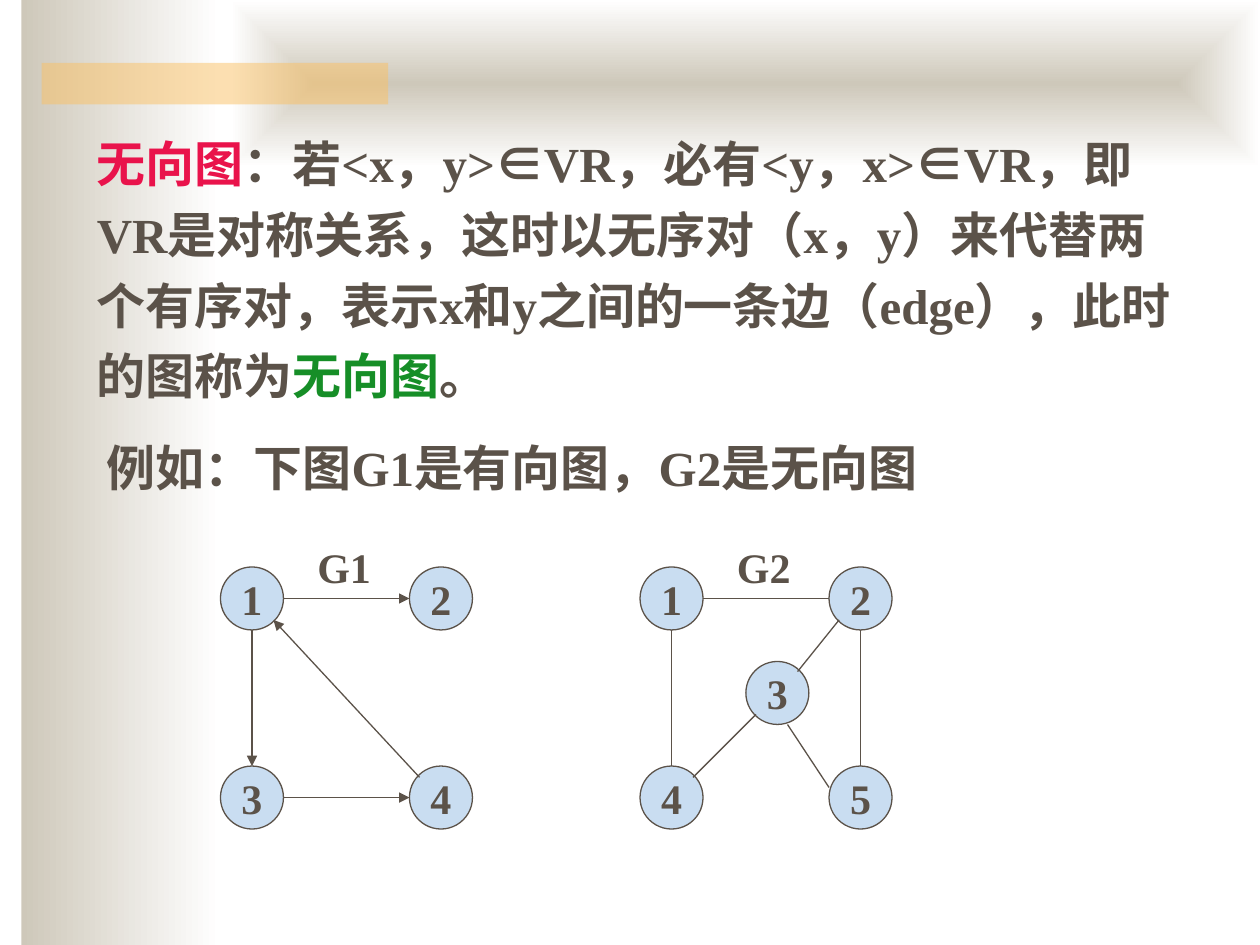
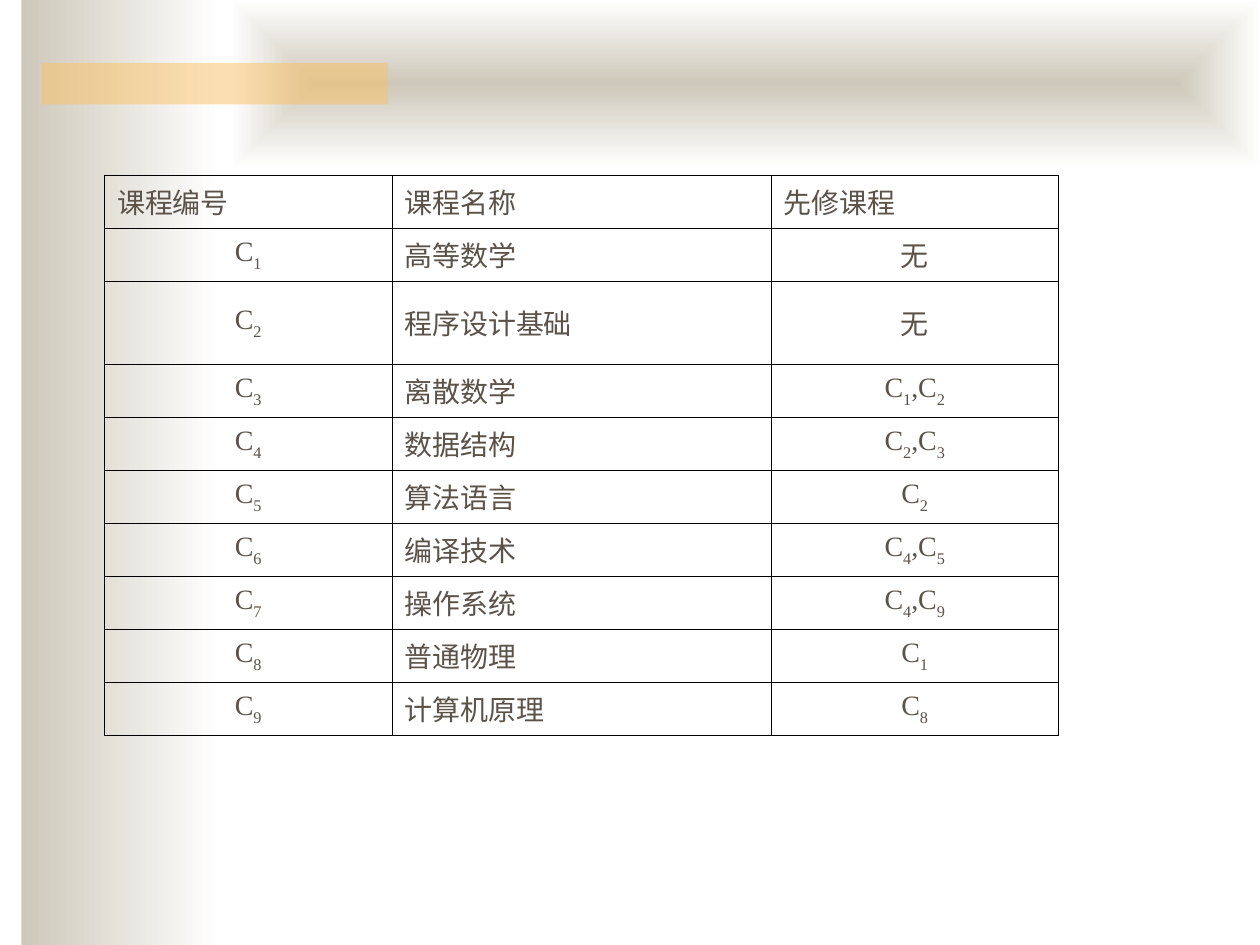
"""Builds two slides on directed and undirected graphs and a course table."""
from itertools import groupby

from lxml import etree
from pptx import Presentation
from pptx.dml.color import RGBColor
from pptx.enum.dml import MSO_THEME_COLOR
from pptx.enum.shapes import MSO_CONNECTOR, MSO_SHAPE
from pptx.enum.text import MSO_ANCHOR, MSO_AUTO_SIZE, PP_ALIGN
from pptx.oxml.ns import qn
from pptx.util import Inches, Pt

RECT, OVAL = MSO_SHAPE.RECTANGLE, MSO_SHAPE.OVAL
LINE = MSO_CONNECTOR.STRAIGHT
MID, TOP = MSO_ANCHOR.MIDDLE, MSO_ANCHOR.TOP
LEFT, CENTER = PP_ALIGN.LEFT, PP_ALIGN.CENTER
GROW = MSO_AUTO_SIZE.SHAPE_TO_FIT_TEXT

INK, SAND, WHITE, GOLD = "5B5249", "CEC8BA", "FFFFFF", "FAC164"
RED, GREEN, BLUE, BLACK = "E9134B", "168E27", "C9DDF1", "000000"
LATIN, HAN = "Times New Roman", "Noto Sans CJK SC"

BODY = {"size": Pt(28), "bold": True}
LABEL = {"size": Pt(24), "bold": True}
CELL = {"size": Pt(16), "bold": False}

RULE = [
    ("无向图", RED),
    ("：若<x，y>∈VR，必有<y，x>∈VR，即VR是对称关系，这时以无序对（x，y）"
     "来代替两个有序对，表示x和y之间的一条边（edge），此时的图称为", INK),
    ("无向图", GREEN),
    ("。", INK),
]
CASE = [("例如：下图G1是有向图，G2是无向图", INK)]

FAR, LOW, SIZE, GRAPH_TOP = 1.5, 1.58, 0.5, 4.5
HALF = SIZE / 2
ACROSS = (SIZE, HALF, FAR, HALF)
DOWN = (HALF, SIZE, HALF, LOW)
GRAPHS = [
    {"name": "G1", "left": 1.75, "arrow": True,
     "nodes": {"1": (0, 0), "2": (FAR, 0), "3": (0, LOW), "4": (FAR, LOW)},
     "edges": [ACROSS, DOWN, (SIZE, LOW + HALF, FAR, LOW + HALF),
               (1.58, 1.67, 0.42, 0.42)]},
    {"name": "G2", "left": 5.08, "arrow": False,
     "nodes": {"1": (0, 0), "2": (FAR, 0), "3": (0.84, 0.75),
               "4": (0, LOW), "5": (FAR, LOW)},
     "edges": [ACROSS, DOWN, (FAR + HALF, SIZE, FAR + HALF, LOW),
               (1.17, 1.25, 1.5, 1.75), (0.92, 1.17, 0.42, 1.67),
               (1.58, 0.42, 1.25, 0.83)]},
]

HEADS = ("课程编号", "课程名称", "先修课程")
COURSES = [
    ("C1", "高等数学", "无"),
    ("C2", "程序设计基础", "无"),
    ("C3", "离散数学", "C1,C2"),
    ("C4", "数据结构", "C2,C3"),
    ("C5", "算法语言", "C2"),
    ("C6", "编译技术", "C4,C5"),
    ("C7", "操作系统", "C4,C9"),
    ("C8", "普通物理", "C1"),
    ("C9", "计算机原理", "C8"),
]
WIDTHS = (2.28, 3.01, 2.28)
HEIGHTS = [0.41, 0.42, 0.66] + [0.42] * 7


def tint(code):
    return RGBColor.from_string(code)


def add(parent, tag, **attrs):
    return etree.SubElement(parent, qn(tag), attrs)


def write(par, text, color, form, sub=False):
    for key, part in groupby(text, lambda c: (c.isascii(), sub and c.isdigit())):
        run = par.add_run()
        run.text = "".join(part)
        for name, value in form.items():
            setattr(run.font, name, value)
        run.font.color.rgb = tint(color)
        run.font.name = LATIN if key[0] else HAN
        props = run._r.get_or_add_rPr()
        add(props, "a:ea", typeface=HAN)
        if key[1]:
            props.set("baseline", "-30000")


def shape(shapes, kind, box, fill=None, line=None):
    item = shapes.add_shape(kind, *map(Inches, box))
    item.shadow.inherit = False
    if fill:
        item.fill.solid()
        item.fill.fore_color.rgb = tint(fill)
    if line:
        item.line.color.rgb = tint(line)
        item.line.width = Pt(0.75)
    else:
        item.line.fill.background()
    return item


def fade(item):
    item.fill.gradient()
    item.fill.gradient_angle = 0
    for stop, color in zip(item.fill.gradient_stops, (SAND, WHITE)):
        stop.color.rgb = tint(color)


def backdrop(slide):
    fade(shape(slide.shapes, RECT, (0.17, 0, 1.58, 7.5)))
    band = shape(slide.shapes, RECT, (1.83, 0, 8.17, 1.33))
    fade(band)
    grad = band._element.spPr.find(qn("a:gradFill"))
    grad.remove(grad.find(qn("a:lin")))
    route = add(grad, "a:path", path="rect")
    add(route, "a:fillToRect", **dict.fromkeys("ltrb", "50000"))
    bar = shape(slide.shapes, RECT, (0.33, 0.5, 2.75, 0.33), GOLD)
    add(next(bar._element.spPr.iter(qn("a:srgbClr"))), "a:alpha", val="50000")


def textbox(shapes, box, parts, form, space=None):
    frame = shapes.add_textbox(*map(Inches, box)).text_frame
    frame.word_wrap = True
    frame.auto_size = GROW
    par = frame.paragraphs[0]
    if space:
        par.line_spacing = space
    for text, color in parts:
        write(par, text, color, form)


def edge(shapes, ends, arrow):
    link = shapes.add_connector(LINE, *map(Inches, ends))
    link.line.color.rgb = tint(INK)
    link.line.width = Pt(0.75)
    if arrow:
        add(link.line._get_or_add_ln(), "a:tailEnd", type="triangle")
    add(link._element.spPr, "a:effectLst")


def graph(slide, data):
    shapes = slide.shapes.add_group_shape().shapes
    left = data["left"]
    for name, (x, y) in data["nodes"].items():
        node = shape(shapes, OVAL, (left + x, GRAPH_TOP + y, SIZE, SIZE), BLUE, INK)
        frame = node.text_frame
        frame.word_wrap = False
        frame.vertical_anchor = MID
        frame.paragraphs[0].alignment = CENTER
        write(frame.paragraphs[0], name, INK, LABEL)
    for x1, y1, x2, y2 in data["edges"]:
        edge(shapes, (left + x1, GRAPH_TOP + y1, left + x2, GRAPH_TOP + y2),
             data["arrow"])
    textbox(shapes, (left + 0.67, GRAPH_TOP - 0.25, 0.75, 0.5),
            [(data["name"], INK)], LABEL)


def border(cell):
    props = cell._tc.get_or_add_tcPr()
    for spot, side in enumerate("LRTB"):
        line = etree.Element(qn(f"a:ln{side}"), w=str(Pt(0.34)))
        add(add(line, "a:solidFill"), "a:srgbClr", val=BLACK)
        props.insert(spot, line)


def courses(slide):
    rows = [HEADS] + COURSES
    box = (0.83, 1.39, sum(WIDTHS), sum(HEIGHTS))
    grid = slide.shapes.add_table(len(rows), len(HEADS), *map(Inches, box)).table
    grid.first_row = grid.horz_banding = False
    for col, width in zip(grid.columns, WIDTHS):
        col.width = Inches(width)
    for r, (row, height) in enumerate(zip(rows, HEIGHTS)):
        grid.rows[r].height = Inches(height)
        for c, text in enumerate(row):
            cell = grid.cell(r, c)
            cell.fill.background()
            cell.vertical_anchor = MID if r else TOP
            par = cell.text_frame.paragraphs[0]
            par.alignment = CENTER if r and c != 1 else LEFT
            write(par, text, INK, CELL, sub=True)
            border(cell)


def main():
    deck = Presentation()
    deck.slide_width, deck.slide_height = Inches(10), Inches(7.5)
    first, second = (deck.slides.add_slide(deck.slide_layouts[6]) for _ in range(2))
    for slide in (first, second):
        backdrop(slide)
    textbox(first.shapes, (0.67, 0.92, 8.75, 2.34), RULE, BODY, 1.2)
    textbox(first.shapes, (0.75, 3.42, 8.75, 0.57), CASE, BODY)
    for data in GRAPHS:
        graph(first, data)
    courses(second)
    deck.save("out.pptx")


if __name__ == "__main__":
    main()
